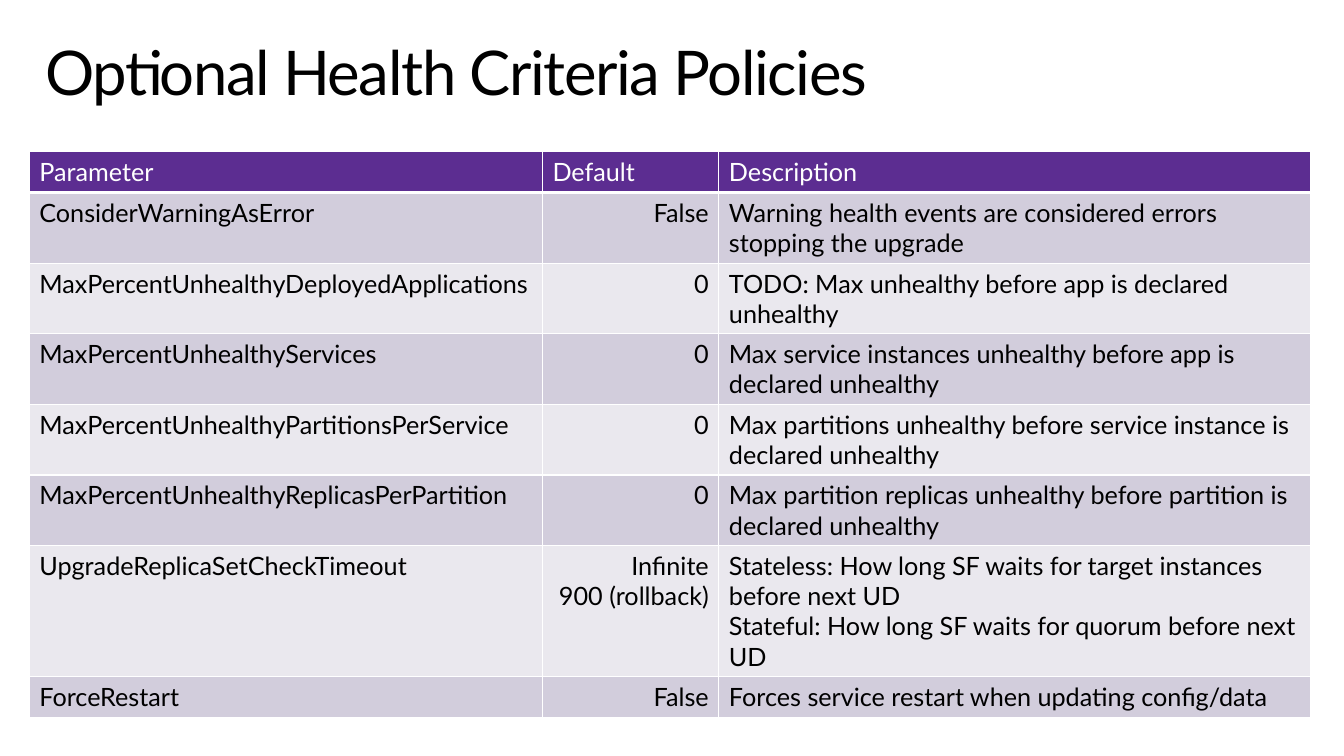
from pptx import Presentation
from pptx import util as u
from pptx.dml import color
from pptx.enum import text
from pptx.oxml import ns
from lxml import etree

COLORS = {
    "ink": "000000",
    "paper": "FFFFFF",
    "header": "5C2D91",
    "odd": "D2CDDC",
    "even": "EAE8EE",
}
FONT = "Lato"
COLUMN_WIDTHS = [38.18, 13.13, 44.04]
ROW_HEIGHT = 5.47
POLICIES = [
    ("Parameter", "Default", "Description"),
    ("ConsiderWarningAsError", "False",
     "Warning health events are considered errors stopping the upgrade"),
    ("MaxPercentUnhealthyDeployedApplications", "0",
     "TODO: Max unhealthy before app is declared unhealthy"),
    ("MaxPercentUnhealthyServices", "0",
     "Max service instances unhealthy before app is declared unhealthy"),
    ("MaxPercentUnhealthyPartitionsPerService", "0",
     "Max partitions unhealthy before service instance is declared unhealthy"),
    ("MaxPercentUnhealthyReplicasPerPartition", "0",
     "Max partition replicas unhealthy before partition is declared unhealthy"),
    ("UpgradeReplicaSetCheckTimeout", "Infinite\n900 (rollback)",
     "Stateless: How long SF waits for target instances before next UD\n"
     "Stateful: How long SF waits for quorum before next UD"),
    ("ForceRestart", "False", "Forces service restart when updating config/data"),
]


class PolicySlide:
    def __init__(self):
        self.presentation = Presentation()
        self.presentation.slide_width = u.Inches(13.33)
        self.presentation.slide_height = u.Inches(7.5)
        self.slide = self.presentation.slides.add_slide(self.presentation.slide_layouts[6])

    def across(self, percent):
        return round(self.presentation.slide_width * percent / 100)

    def down(self, percent):
        return round(self.presentation.slide_height * percent / 100)

    def place(self, left, top, width, height):
        return self.across(left), self.down(top), self.across(width), self.down(height)

    def set_words(self, paragraph, words, size, ink):
        paragraph.text = words
        for run in paragraph.runs:
            run.font.name = FONT
            run.font.size = u.Pt(size)
            run.font.color.rgb = color.RGBColor.from_string(COLORS[ink])

    def title(self, words, area):
        frame = self.slide.shapes.add_textbox(*self.place(*area)).text_frame
        frame.word_wrap = True
        frame.margin_left = frame.margin_right = u.Inches(0.16)
        frame.margin_top = frame.margin_bottom = u.Inches(0.1)
        paragraph = frame.paragraphs[0]
        paragraph.line_spacing = 0.9
        self.set_words(paragraph, words, 44, "ink")
        for run in paragraph.runs:
            run._r.get_or_add_rPr().set("spc", "-100")

    def border(self, cell, side, points):
        properties = cell._tc.get_or_add_tcPr()
        line = etree.SubElement(properties, ns.qn(f"a:ln{side}"), w=str(u.Pt(points)))
        fill = etree.SubElement(line, ns.qn("a:solidFill"))
        etree.SubElement(fill, ns.qn("a:srgbClr"), val=COLORS["paper"])

    def cell(self, cell, words, fill, ink, bottom, align):
        for side in "LRT":
            self.border(cell, side, 1)
        self.border(cell, "B", bottom)
        cell.fill.solid()
        cell.fill.fore_color.rgb = color.RGBColor.from_string(COLORS[fill])
        paragraph = cell.text_frame.paragraphs[0]
        self.set_words(paragraph, words, 18, ink)
        paragraph.alignment = align

    def table(self, rows, area):
        shape = self.slide.shapes.add_table(len(rows), len(rows[0]), *self.place(*area))
        table = shape.table
        for column, width in zip(table.columns, COLUMN_WIDTHS):
            column.width = self.across(width)
        for r, row in enumerate(rows):
            table.rows[r].height = self.down(ROW_HEIGHT)
            is_header = r == 0
            fill = "header" if is_header else ("even", "odd")[r % 2]
            for c, words in enumerate(row):
                is_value = c == 1 and not is_header
                self.cell(
                    table.cell(r, c), words, fill,
                    ink="paper" if is_header else "ink",
                    bottom=3 if is_header else 1,
                    align=text.PP_ALIGN.RIGHT if is_value else text.PP_ALIGN.LEFT,
                )
        shape.height = self.down(area[3])


def main():
    policy_slide = PolicySlide()
    policy_slide.title("Optional Health Criteria Policies", (2.18, 4.27, 95.65, 13.07))
    policy_slide.table(POLICIES, (2.18, 20, 95.35, 74.8))
    policy_slide.presentation.save("out.pptx")


if __name__ == "__main__":
    main()
